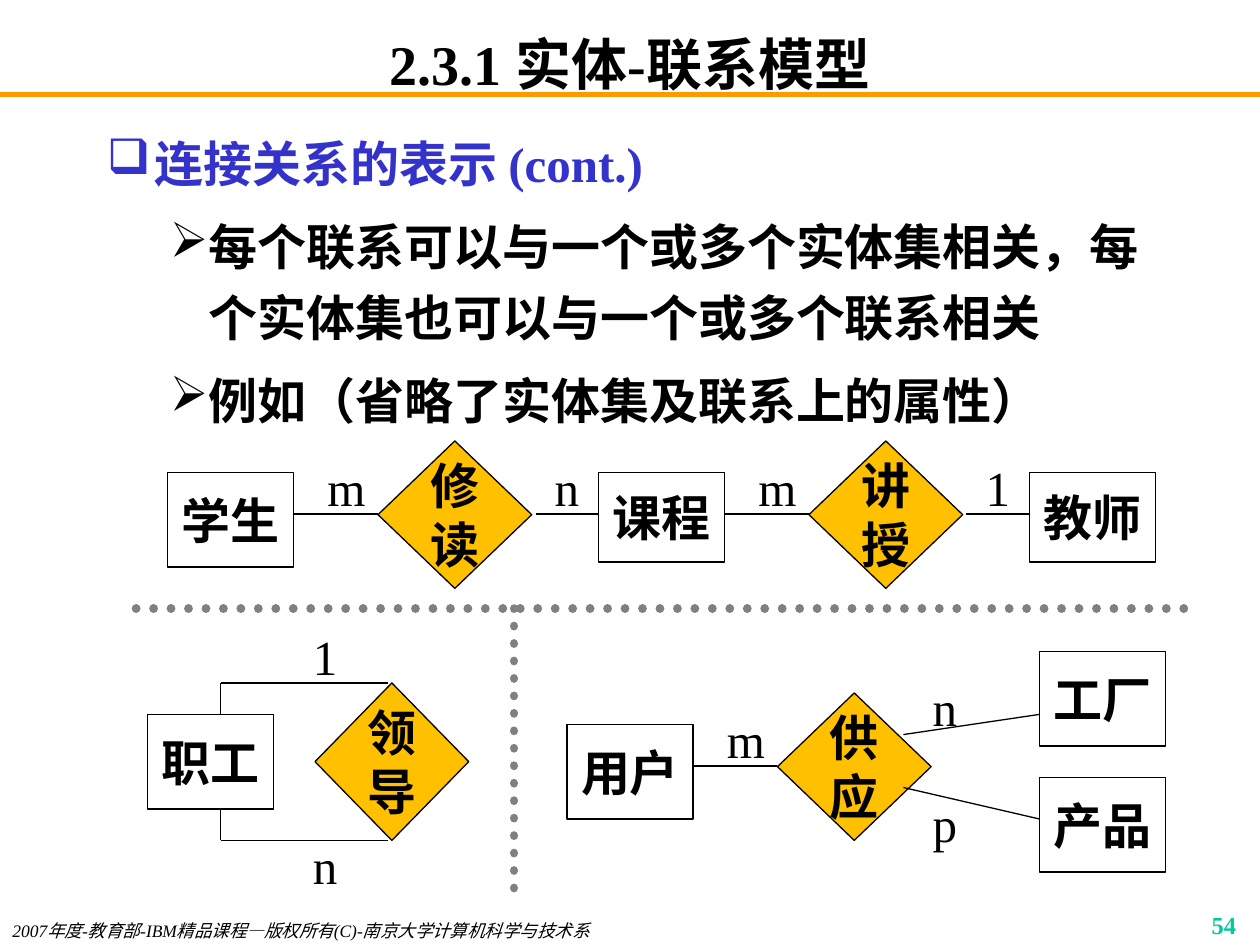
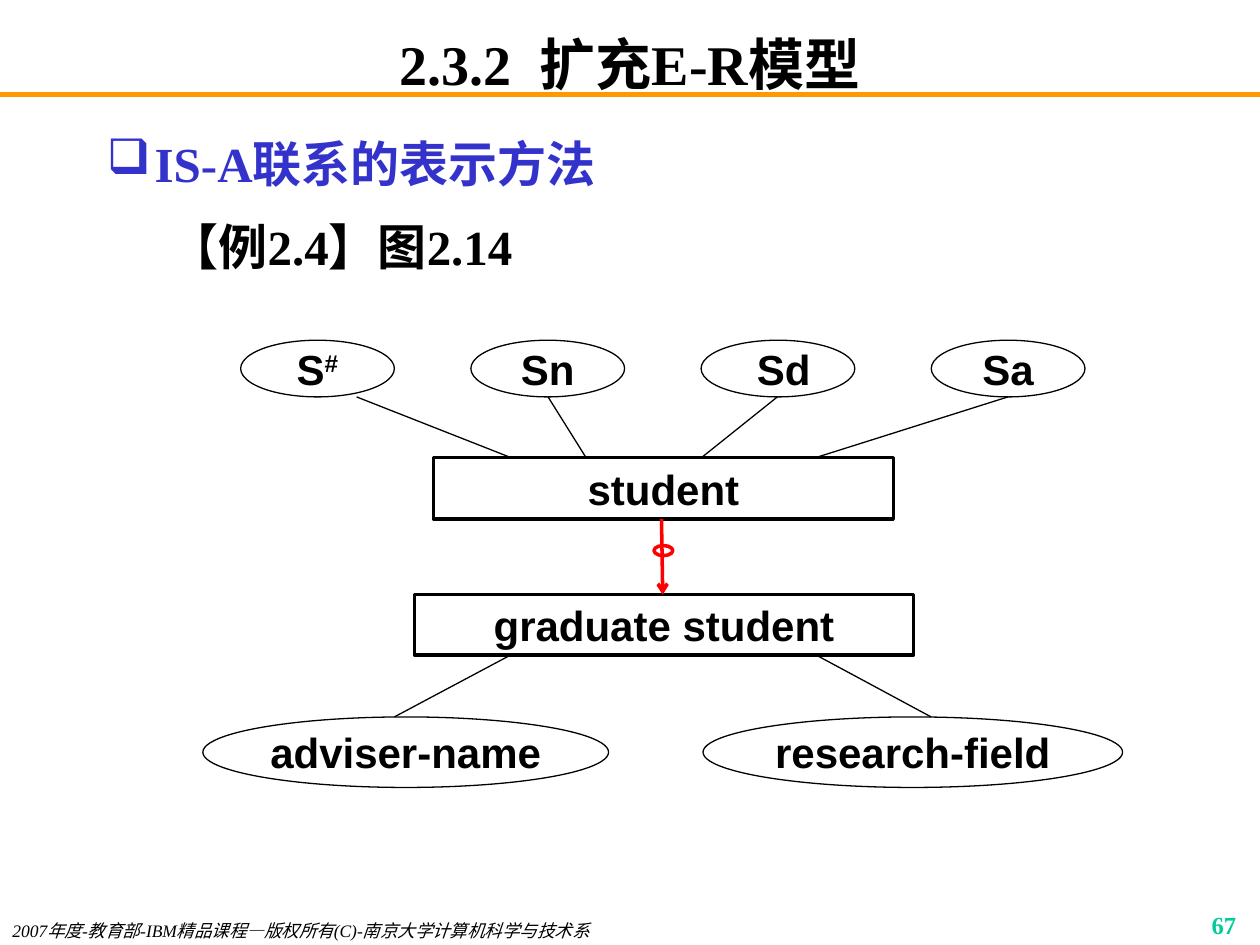
from lxml import etree
from pptx import Presentation
from pptx.dml.color import RGBColor
from pptx.enum import dml, shapes, text
from pptx.oxml import ns
from pptx.util import Inches, Pt

COLORS = {
    "ink": "000000", "paper": "FFFFFF", "band": "FF9900", "heading": "3333CC",
    "number": "00CC99", "relation": "FFC000", "divider": "808080", "isa": "FF0000",
}
SERIF, SANS = "Times New Roman", "Arial"
LEFT, CENTER, RIGHT = text.PP_ALIGN.LEFT, text.PP_ALIGN.CENTER, text.PP_ALIGN.RIGHT
RECT, DIAMOND, OVAL = (shapes.MSO_SHAPE.RECTANGLE, shapes.MSO_SHAPE.DIAMOND,
                       shapes.MSO_SHAPE.OVAL)
FOOTER = "2007年度-教育部-IBM精品课程—版权所有(C)-南京大学计算机科学与技术系"


def write(shape, words, size, font=SERIF, color="ink", bold=False, italic=False,
          align=CENTER, anchor=text.MSO_ANCHOR.TOP, margins=(0.1, 0.05)):
    frame = shape.text_frame
    frame.text = words
    frame.word_wrap = True
    frame.auto_size = text.MSO_AUTO_SIZE.NONE
    frame.vertical_anchor = anchor
    frame.margin_left = frame.margin_right = Inches(margins[0])
    frame.margin_top = frame.margin_bottom = Inches(margins[1])
    for paragraph in frame.paragraphs:
        paragraph.alignment = align
        for run in paragraph.runs:
            run.font.name, run.font.size = font, Pt(size)
            run.font.bold, run.font.italic = bold, italic
            run.font.color.rgb = RGBColor.from_string(COLORS[color])


def connect(slide, x1, y1, x2, y2, color="ink", width=0.75):
    link = slide.shapes.add_connector(
        shapes.MSO_CONNECTOR.STRAIGHT, Inches(x1), Inches(y1), Inches(x2), Inches(y2))
    link.line.color.rgb = RGBColor.from_string(COLORS[color])
    link.line.width = Pt(width)
    etree.SubElement(link._element.spPr, ns.qn("a:effectLst"))
    return link


prs = Presentation()
prs.slide_width, prs.slide_height = Inches(10), Inches(7.5)

pages = [
    ("2.3.1 实体-联系模型", "54", 6.08, [
        ("连接关系的表示 (cont.)", "❑"),
        ("每个联系可以与一个或多个实体集相关，每个实体集也可以与一个或多个联系相关", "➢"),
        ("例如（省略了实体集及联系上的属性）", "➢")]),
    ("2.3.2  扩充E-R模型", "67", 1.58, [
        ("IS-A联系的表示方法", "❑"),
        ("【例2.4】图2.14", None)]),
]
for heading, number, outline_height, points in pages:
    slide = prs.slides.add_slide(prs.slide_layouts[5])
    connect(slide, 0, 0.75, 10, 0.75, "band", 3)
    title = slide.shapes.title
    title.left, title.top = Inches(0.75), Inches(0.25)
    title.width, title.height = Inches(8.5), Inches(0.5)
    write(title, heading, 32, bold=True, anchor=text.MSO_ANCHOR.MIDDLE, margins=(0.1, 0))

    outline = slide.shapes.add_textbox(
        Inches(0.75), Inches(0.92), Inches(8.5), Inches(outline_height))
    write(outline, "\n".join(words for words, bullet in points), 28, bold=True, align=LEFT)
    for i, (words, bullet) in enumerate(points):
        paragraph = outline.text_frame.paragraphs[i]
        color = "ink" if i else "heading"
        paragraph.level = 1 if i else 0
        margin, hanging = (0.81, 0.31) if i else (0.38, 0.38)
        props = paragraph._p.get_or_add_pPr()
        props.set("marL", str(Inches(margin)))
        props.set("indent", str(-Inches(hanging)))
        if bullet:
            tint = etree.SubElement(props, ns.qn("a:buClr"))
            etree.SubElement(tint, ns.qn("a:srgbClr"), val=COLORS[color])
            etree.SubElement(props, ns.qn("a:buChar"), char=bullet)
        paragraph.line_spacing = 1.2
        if i:
            paragraph.space_before = Pt(7)
        paragraph.runs[0].font.color.rgb = RGBColor.from_string(COLORS[color])

    footer = slide.shapes.add_textbox(Inches(0), Inches(7.25), Inches(5.5), Inches(0.25))
    write(footer, FOOTER, 10, italic=True, align=LEFT)
    page_number = slide.shapes.add_textbox(
        Inches(7.83), Inches(7.17), Inches(2.08), Inches(0.25))
    write(page_number, number, 14, color="number", bold=True, align=RIGHT)

relations, inheritance = prs.slides

nodes = [
    (relations, RECT, 1.33, 3.75, 1, 0.75, "学生"),
    (relations, DIAMOND, 3, 3.5, 1.22, 1.17, "修读"),
    (relations, RECT, 4.75, 3.75, 1, 0.71, "课程"),
    (relations, DIAMOND, 6.42, 3.5, 1.22, 1.17, "讲授"),
    (relations, RECT, 8.17, 3.75, 1, 0.71, "教师"),
    (relations, RECT, 1.17, 5.67, 1, 0.75, "职工"),
    (relations, DIAMOND, 2.5, 5.42, 1.22, 1.25, "领导"),
    (relations, RECT, 4.5, 5.75, 1, 0.75, "用户"),
    (relations, DIAMOND, 6.17, 5.5, 1.22, 1.17, "供应"),
    (relations, RECT, 8.25, 5.17, 1, 0.75, "工厂"),
    (relations, RECT, 8.25, 6.17, 1, 0.75, "产品"),
    (inheritance, RECT, 3.44, 3.63, 3.65, 0.49, "student"),
    (inheritance, RECT, 3.29, 4.72, 3.96, 0.48, "graduate student"),
    (inheritance, OVAL, 5.58, 5.69, 3.33, 0.56, "research-field"),
    (inheritance, OVAL, 1.61, 5.69, 3.22, 0.56, "adviser-name"),
]
for i, attribute in enumerate(["S", "Sn", " Sd", "Sa"]):
    nodes.append((inheritance, OVAL, 1.91 + 1.827 * i, 2.7, 1.22, 0.45, attribute))

for slide, outline_kind, x, y, w, h, words in nodes:
    node = slide.shapes.add_shape(outline_kind, Inches(x), Inches(y), Inches(w), Inches(h))
    node.shadow.inherit = False
    node.fill.solid()
    fill = "relation" if outline_kind == DIAMOND else "paper"
    node.fill.fore_color.rgb = RGBColor.from_string(COLORS[fill])
    node.line.color.rgb = RGBColor.from_string(COLORS["ink"])
    is_entity_set = slide == inheritance and outline_kind == RECT
    node.line.width = Pt(2 if is_entity_set else 0.75)
    write(node, words, 28 if slide == relations else 24, SANS, bold=True,
          anchor=text.MSO_ANCHOR.MIDDLE, margins=(0, 0) if w > 3 and outline_kind == OVAL
          else (0.1, 0.05))
    if words == "S":
        key_mark = node.text_frame.paragraphs[0].add_run()
        key_mark.text = "#"
        key_mark.font.name, key_mark.font.size, key_mark.font.bold = SANS, Pt(24), True
        key_mark.font.color.rgb = RGBColor.from_string(COLORS["ink"])
        key_mark._r.get_or_add_rPr().set("baseline", "30000")

for slide, *ends in [
    (relations, 2.33, 4.08, 3, 4.08),
    (relations, 4.25, 4.08, 4.75, 4.08),
    (relations, 5.75, 4.08, 6.42, 4.08),
    (relations, 7.67, 4.08, 8.17, 4.08),
    (relations, 1.75, 5.42, 3.08, 5.42),
    (relations, 1.75, 5.42, 1.75, 5.67),
    (relations, 1.75, 6.67, 3.08, 6.67),
    (relations, 1.75, 6.42, 1.75, 6.67),
    (relations, 5.5, 6.08, 6.17, 6.08),
    (relations, 7.17, 5.83, 8.25, 5.67),
    (relations, 7.17, 6.25, 8.25, 6.5),
    (inheritance, 2.83, 3.15, 4.05, 3.63),
    (inheritance, 4.35, 3.15, 4.65, 3.63),
    (inheritance, 6.17, 3.15, 5.57, 3.63),
    (inheritance, 8, 3.15, 6.48, 3.63),
    (inheritance, 4.05, 5.2, 3.13, 5.69),
    (inheritance, 6.48, 5.2, 7.39, 5.69),
]:
    connect(slide, *ends)

for x, y, cardinality in [
    (2.5, 3.58, "m"), (4.25, 3.58, "n"), (5.92, 3.58, "m"), (7.67, 3.58, "1"),
    (2.33, 4.92, "1"), (2.33, 6.58, "n"),
    (5.67, 5.58, "m"), (7.25, 5.33, "n"), (7.25, 6.25, "p"),
]:
    label = relations.shapes.add_textbox(Inches(x), Inches(y), Inches(0.5), Inches(0.57))
    write(label, cardinality, 28)

for ends in [(1.08, 4.83, 9.5, 4.83), (4.08, 4.83, 4.08, 7.17)]:
    divider = connect(relations, *ends, "divider", 5)
    divider.line.dash_style = dml.MSO_LINE.ROUND_DOT
    divider.line._get_or_add_ln().set("cap", "rnd")

isa_arrow = connect(inheritance, 5.25, 4.12, 5.26, 4.72, "isa", 2)
etree.SubElement(isa_arrow.line._get_or_add_ln(), ns.qn("a:tailEnd"), type="arrow")
isa_ring = inheritance.shapes.add_shape(
    OVAL, Inches(5.19), Inches(4.33), Inches(0.15), Inches(0.08))
isa_ring.shadow.inherit = False
isa_ring.fill.background()
isa_ring.line.color.rgb = RGBColor.from_string(COLORS["isa"])
isa_ring.line.width = Pt(2)

prs.save("out.pptx")
